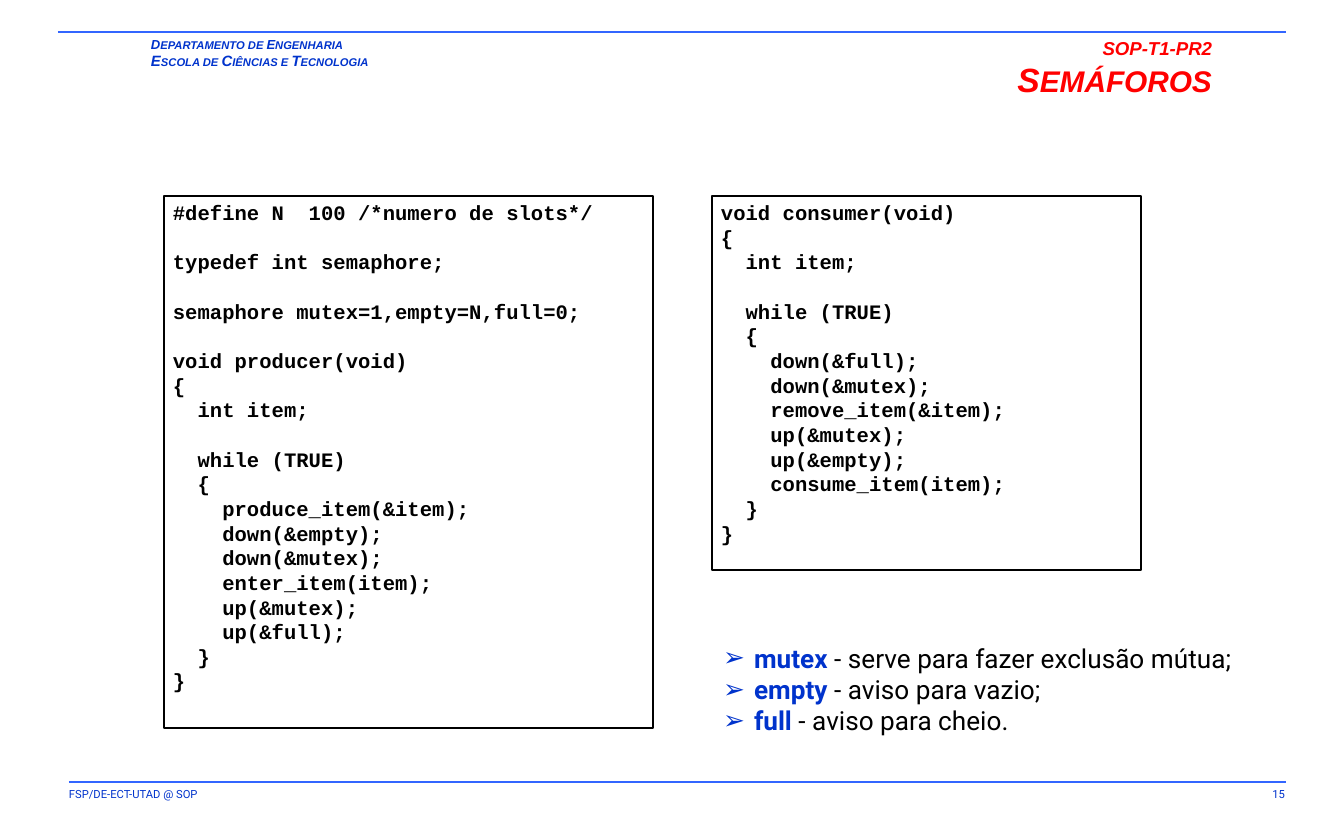
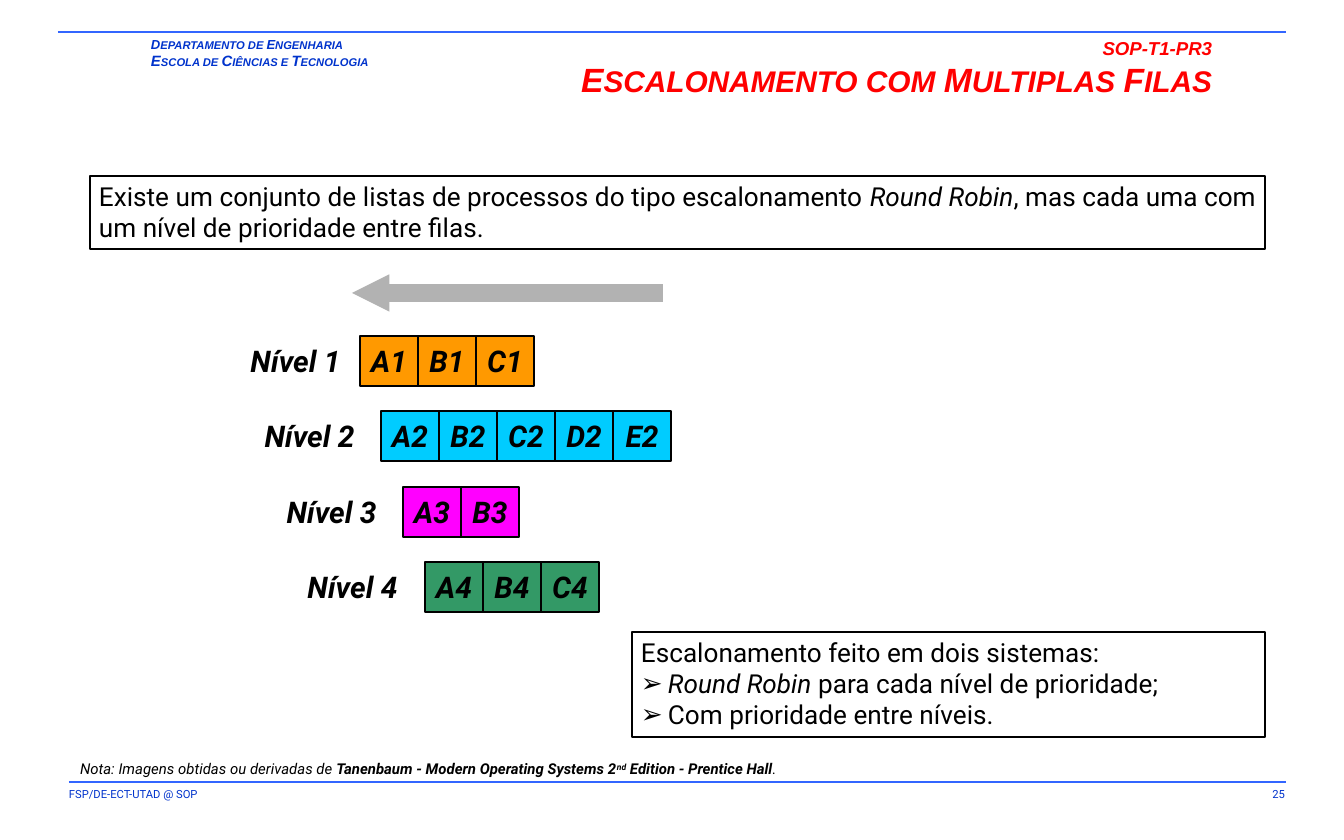
from itertools import groupby

from lxml.etree import SubElement
from pptx import Presentation
from pptx.dml.color import RGBColor
from pptx.enum.shapes import MSO_CONNECTOR, MSO_SHAPE
from pptx.enum.text import MSO_ANCHOR, PP_ALIGN
from pptx.oxml.ns import qn
from pptx.util import Pt

EMU_PER_PX = 914400 / 134.4
COLOURS = {
    "text": "000000",
    "accent": "0033CC",
    "title": "FF0000",
    "rule": "3366FF",
    "arrow": "B2B2B2",
    "level1": "FF9900",
    "level2": "00CCFF",
    "level3": "FF00FF",
    "level4": "339966",
}
ALIGN = {"left": PP_ALIGN.LEFT, "right": PP_ALIGN.RIGHT,
         "center": PP_ALIGN.CENTER, "justify": PP_ALIGN.JUSTIFY}
HEADING = {"font": "Arial", "bold": True, "italic": True}
CODE = {"font": "Courier New", "size": 11, "bold": True}
CODE_LINE = 13.2
ITALIC = {"italic": True}
BOLD = {"bold": True}

# Content
PRODUCER = """#define N  100 /*numero de slots*/

typedef int semaphore;

semaphore mutex=1,empty=N,full=0;

void producer(void)
{
  int item;

  while (TRUE)
  {
    produce_item(&item);
    down(&empty);
    down(&mutex);
    enter_item(item);
    up(&mutex);
    up(&full);
  }
}"""
CONSUMER = """void consumer(void)
{
  int item;

  while (TRUE)
  {
    down(&full);
    down(&mutex);
    remove_item(&item);
    up(&mutex);
    up(&empty);
    consume_item(item);
  }
}"""
SEMAPHORES = [
    ("mutex", " - serve para fazer exclusão mútua;"),
    ("empty", " - aviso para vazio;"),
    ("full", " - aviso para cheio."),
]
# Queue letters and left edge of the label, by priority level
LEVELS = [("ABC", 245), ("ABCDE", 259), ("AB", 281), ("ABC", 302)]


def px(length):
    return round(length * EMU_PER_PX)


def colour(name):
    return RGBColor.from_string(COLOURS[name])


def add_text(paragraph, text, font="Roboto", size=14, color="text",
             bold=False, italic=False, baseline=None):
    run = paragraph.add_run()
    run.text = text
    run.font.name = font
    run.font.size = Pt(size)
    run.font.bold = bold
    run.font.italic = italic
    run.font.color.rgb = colour(color)
    if baseline:
        run.font._element.set("baseline", str(baseline * 1000))


def small_caps(text, big, small):
    """Runs with large capitals and the other letters as smaller capitals."""
    return [("".join(letters).upper(), {"size": big if capital else small})
            for capital, letters in groupby(text, str.isupper)]


class Deck:
    def __init__(self):
        self.prs = Presentation()
        self.prs.slide_width = px(1344)
        self.prs.slide_height = px(840)
        self.slide = None

    def new_slide(self, code, title, number):
        self.slide = self.prs.slides.add_slide(self.prs.slide_layouts[6])
        # Footer
        footer = {"size": 6, "color": "accent", "inset": (11, 5)}
        self.text((58, 782, 625, 27), ["FSP/DE-ECT-UTAD @ SOP"], **footer)
        self.text((1128, 782, 168, 28), [str(number)], align="right", **footer)
        # Department and rules
        self.text((142, 32, 349, 43),
                  [small_caps("Departamento de Engenharia", 7, 6),
                   small_caps("Escola de Ciências e Tecnologia", 8, 6)],
                  color="accent", **HEADING)
        self.line((58, 32), (1286, 32), "rule")
        self.line((69, 782), (1286, 782), "rule")
        # Title
        self.text((450, 32, 773, 60),
                  [[(code, {"size": 10})], small_caps(title, 18, 16)],
                  align="right", color="title", inset=(11, 5), **HEADING)

    def fill_frame(self, frame, paragraphs, align="left", inset=(9, 4),
                   middle=False, bullets=(), indent=31, **style):
        """Each paragraph is a string or a list of (text, format) runs."""
        frame.word_wrap = True
        frame.margin_left = frame.margin_right = px(inset[0])
        frame.margin_top = frame.margin_bottom = px(inset[1])
        frame.vertical_anchor = MSO_ANCHOR.MIDDLE if middle else MSO_ANCHOR.TOP
        for index, content in enumerate(paragraphs):
            paragraph = frame.add_paragraph() if index else frame.paragraphs[0]
            paragraph.alignment = ALIGN[align]
            if index in bullets:
                self.bullet(paragraph, indent)
            runs = [(content, {})] if isinstance(content, str) else content
            for text, changes in runs:
                add_text(paragraph, text, **{**style, **changes})

    def bullet(self, paragraph, indent):
        properties = paragraph._p.get_or_add_pPr()
        properties.set("marL", str(px(indent)))
        properties.set("indent", str(-px(indent)))
        SubElement(properties, qn("a:buFont")).set("typeface", "Arial")
        SubElement(properties, qn("a:buChar")).set("char", "➢")

    def text(self, area, paragraphs, **style):
        box = self.slide.shapes.add_textbox(*map(px, area))
        self.fill_frame(box.text_frame, paragraphs, **style)

    def box(self, area, paragraphs, fill=None, **style):
        box = self.slide.shapes.add_shape(MSO_SHAPE.RECTANGLE, *map(px, area))
        box.shadow.inherit = False
        if fill:
            box.fill.solid()
            box.fill.fore_color.rgb = colour(fill)
        else:
            box.fill.background()
        box.line.color.rgb = colour("text")
        box.line.width = Pt(0.75)
        self.fill_frame(box.text_frame, paragraphs, **style)
        return box

    def code(self, area, source):
        """An empty source line becomes space before the next line."""
        lines = source.split("\n")
        listing = self.box(area, [line for line in lines if line], **CODE)
        after_gap = [not before for before, line in zip([" "] + lines, lines)
                     if line]
        for paragraph, gap in zip(listing.text_frame.paragraphs, after_gap):
            if gap:
                paragraph.space_before = Pt(CODE_LINE)

    def line(self, start, end, color, width=0.75, arrow=False):
        line = self.slide.shapes.add_connector(
            MSO_CONNECTOR.STRAIGHT, *map(px, start + end))
        line.line.color.rgb = colour(color)
        line.line.width = Pt(width)
        if arrow:
            head = SubElement(line.line._get_or_add_ln(), qn("a:tailEnd"))
            for key, value in (("type", "triangle"), ("w", "sm"), ("len", "sm")):
                head.set(key, value)
        SubElement(line._element.spPr, qn("a:effectLst"))


def semaphores_slide(deck):
    deck.new_slide("SOP-T1-PR2", "Semáforos", 15)
    deck.code((164, 196, 489, 532), PRODUCER)
    deck.code((712, 196, 429, 374), CONSUMER)
    # Role of each semaphore
    roles = [[(name, {"bold": True, "color": "accent"}), (role, {})]
             for name, role in SEMAPHORES]
    deck.text((714, 638, 560, 105), roles, align="justify", bullets=range(3))


def queues_slide(deck):
    deck.new_slide("SOP-T1-PR3", "Escalonamento com Multiplas Filas", 25)
    deck.box((90, 176, 1175, 73),
             [[("Existe um conjunto de listas de processos do tipo "
                "escalonamento ", {}),
               ("Round Robin", ITALIC),
               (", mas cada uma com um nível de prioridade entre filas.", {})]],
             align="justify")
    deck.line((663, 293), (352, 293), "arrow", width=10, arrow=True)

    # Queues, each level a step further right and down
    tile_width, tile_height = 58, 50
    tile_style = {"size": 16, "bold": True, "italic": True,
                  "align": "center", "middle": True, "inset": (0, 4)}
    for step, (letters, label_left) in enumerate(LEVELS):
        level = step + 1
        left, top = 360 + step * 65 // 3, 336 + step * 151 // 2
        for place, letter in enumerate(letters):
            deck.box((left + place * tile_width, top, tile_width, tile_height),
                     [f"{letter}{level}"], fill=f"level{level}", **tile_style)
        deck.text((label_left, top, 101, tile_height), [f"Nível {level}"],
                  **tile_style)

    # Summary and source note
    deck.box((632, 632, 633, 105),
             ["Escalonamento feito em dois sistemas:",
              [("Round Robin", ITALIC),
               (" para cada nível de prioridade;", {})],
              "Com prioridade entre níveis."],
             align="justify", bullets=(1, 2), indent=27)
    deck.text((69, 755, 1218, 28),
              [[("Nota: Imagens obtidas ou derivadas de", {}),
                (" Tanenbaum - Modern Operating Systems 2", BOLD),
                ("nd", {**BOLD, "baseline": 30}),
                (" Edition - Prentice Hall", BOLD),
                (".", {})]],
              size=8, italic=True, inset=(11, 5))


def main():
    deck = Deck()
    semaphores_slide(deck)
    queues_slide(deck)
    deck.prs.save("out.pptx")


if __name__ == "__main__":
    main()
